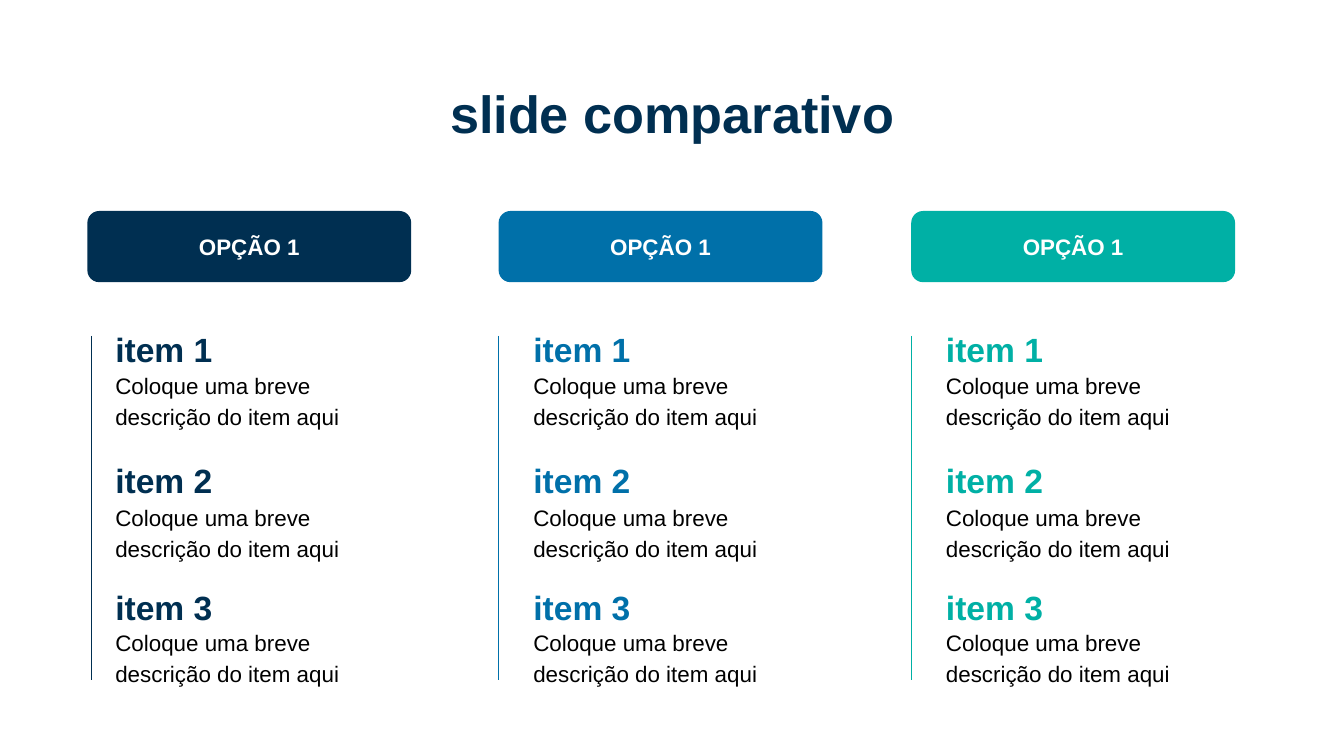
import pptx
import pptx.dml.color
import pptx.enum.shapes
import pptx.enum.text
import pptx.oxml.ns
import pptx.util
import lxml.etree

Inches = pptx.util.Inches
Pt = pptx.util.Pt
RGBColor = pptx.dml.color.RGBColor
ALIGN = pptx.enum.text.PP_ALIGN
ANCHOR = pptx.enum.text.MSO_ANCHOR

NAVY = RGBColor(0x00, 0x2F, 0x51)
BLUE = RGBColor(0x00, 0x70, 0xA9)
TEAL = RGBColor(0x00, 0xB0, 0xA5)
BLACK = RGBColor(0x00, 0x00, 0x00)
WHITE = RGBColor(0xFF, 0xFF, 0xFF)

HEADER_TOP, HEADER_WIDTH, HEADER_HEIGHT = 1.57, 2.41, 0.53
RULE_TOP, RULE_BOTTOM = 2.5, 5.06
ITEM_HEIGHT = 0.25
ITEM_ROWS = [(2.47, 2.72), (3.45, 3.7), (4.39, 4.63)]
COLUMNS = [(NAVY, 0.65, 0.68, 0.76), (BLUE, 3.71, 3.71, 3.87), (TEAL, 6.78, 6.78, 6.94)]


def write(shape, text, size, color, bold=False, align=ALIGN.LEFT, spacing=1.0, anchor=ANCHOR.MIDDLE):
    frame = shape.text_frame
    frame.word_wrap = True
    frame.auto_size = pptx.enum.text.MSO_AUTO_SIZE.NONE
    frame.vertical_anchor = anchor
    frame.margin_left = frame.margin_right = Inches(0.1)
    frame.margin_top = frame.margin_bottom = Inches(0.1)
    para = frame.paragraphs[0]
    para.text = text
    para.alignment = align
    para.line_spacing = spacing
    para.font.name = "Arial"
    para.font.size = Pt(size)
    para.font.bold = bold
    para.font.color.rgb = color


def add_text(left, top, width, height, *content, **style):
    box = page.shapes.add_textbox(Inches(left), Inches(top), Inches(width), Inches(height))
    write(box, *content, **style)


deck = pptx.Presentation()
deck.slide_width = Inches(10)
deck.slide_height = deck.slide_width * 9 // 16
page = deck.slides.add_slide(deck.slide_layouts[5])

title = page.shapes.title
title.left, title.top = Inches(0.69), Inches(0.56)
title.width, title.height = Inches(8.62), Inches(0.47)
write(title, "slide comparativo", 28, NAVY, bold=True, align=ALIGN.CENTER, spacing=0.9, anchor=ANCHOR.TOP)

for color, header_left, rule_left, text_left in COLUMNS:
    for number, (item_top, description_top) in enumerate(ITEM_ROWS, start=1):
        add_text(text_left, description_top, 1.93, 0.5,
                 "Coloque uma breve descrição do item aqui", 12, BLACK, spacing=1.15)
        add_text(text_left, item_top, 1.29, ITEM_HEIGHT, f"item {number}", 18, color, bold=True)

    header = page.shapes.add_shape(
        pptx.enum.shapes.MSO_SHAPE.ROUNDED_RECTANGLE,
        Inches(header_left), Inches(HEADER_TOP), Inches(HEADER_WIDTH), Inches(HEADER_HEIGHT))
    header.shadow.inherit = False
    header.fill.solid()
    header.fill.fore_color.rgb = color
    header.line.fill.background()
    write(header, "OPÇÃO 1", 12, WHITE, bold=True, align=ALIGN.CENTER)

    rule = page.shapes.add_connector(
        pptx.enum.shapes.MSO_CONNECTOR.STRAIGHT,
        Inches(rule_left), Inches(RULE_TOP), Inches(rule_left), Inches(RULE_BOTTOM))
    rule.line.color.rgb = color
    rule.line.width = Pt(0.5)
    lxml.etree.SubElement(rule.element.spPr, pptx.oxml.ns.qn("a:effectLst"))

deck.save("out.pptx")
